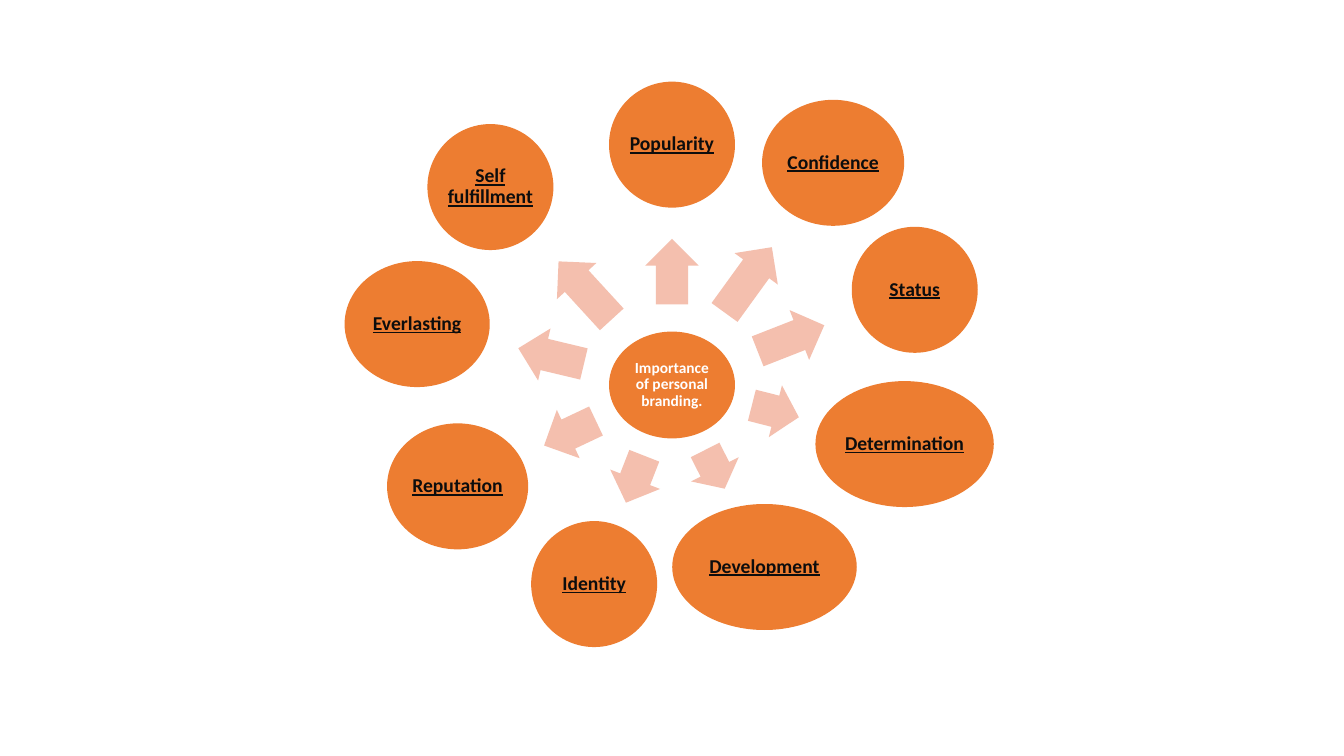
import math

from pptx import Presentation
from pptx.dml.color import RGBColor
from pptx.enum import shapes, text
from pptx.util import Pt

COLORS = {"oval": "ED7D31", "arrow": "F4BFAE", "hub_text": "FFFFFF", "label": "0D0D0D"}
FONT = "Calibri"

HUB = {"label": "Importance of personal branding.", "center": (480, 275), "size": (90, 76.3)}
OVAL_H = 90
ARROW_H = 38.2

# label, oval center x, y, oval width, arrow distance from hub, arrow length
BENEFITS = [
    ("Popularity", 480, 103.3, 90, 81, 46.8),
    ("Confidence", 595.1, 116.3, 101.5, 92.8, 57.6),
    ("Status", 653.4, 207, 90, 91.3, 51.1),
    ("Determination", 646.2, 317.2, 127.4, 76.2, 34.6),
    ("Development", 546.1, 405, 131.8, 67.6, 31),
    ("Identity", 424.4, 417.2, 90, 72.3, 36),
    ("Reputation", 326.9, 347.4, 100.8, 80.6, 41),
    ("Everlasting", 298, 231.5, 103.7, 88.8, 48.2),
    ("Self fulfillment", 350.3, 133.6, 90, 91.7, 56.2),
]


def add_centered(slide, kind, cx, cy, w, h, color):
    """Add a filled, borderless shape around the given center."""
    sp = slide.shapes.add_shape(kind, Pt(cx - w / 2), Pt(cy - h / 2), Pt(w), Pt(h))
    sp.shadow.inherit = False
    sp.fill.solid()
    sp.fill.fore_color.rgb = RGBColor.from_string(COLORS[color])
    sp.line.fill.background()
    return sp


def add_oval(slide, label, cx, cy, w, h, size, color, underline):
    sp = add_centered(slide, shapes.MSO_SHAPE.OVAL, cx, cy, w, h, "oval")
    tf = sp.text_frame
    tf.word_wrap = True
    tf.vertical_anchor = text.MSO_ANCHOR.MIDDLE
    tf.margin_left = tf.margin_right = tf.margin_top = tf.margin_bottom = Pt(1.2)
    p = tf.paragraphs[0]
    p.alignment = text.PP_ALIGN.CENTER
    p.line_spacing = 0.9
    r = p.add_run()
    r.text = label
    r.font.name = FONT
    r.font.size = Pt(size)
    r.font.bold = True
    r.font.underline = underline
    r.font.color.rgb = RGBColor.from_string(COLORS[color])


def add_arrow(slide, angle, distance, length):
    """Add an arrow on the ray that leaves the hub at the given angle."""
    hub_x, hub_y = HUB["center"]
    cx = hub_x + distance * math.cos(angle)
    cy = hub_y + distance * math.sin(angle)
    sp = add_centered(slide, shapes.MSO_SHAPE.RIGHT_ARROW, cx, cy, length, ARROW_H, "arrow")
    sp.adjustments[0] = 0.6
    sp.adjustments[1] = 0.5
    sp.rotation = math.degrees(angle) % 360


def main():
    prs = Presentation()
    prs.slide_width, prs.slide_height = Pt(960), Pt(540)
    slide = prs.slides.add_slide(prs.slide_layouts[6])

    hub_x, hub_y = HUB["center"]
    add_oval(slide, HUB["label"], hub_x, hub_y, *HUB["size"], 11, "hub_text", False)
    for label, x, y, w, distance, length in BENEFITS:
        add_arrow(slide, math.atan2(y - hub_y, x - hub_x), distance, length)
        add_oval(slide, label, x, y, w, OVAL_H, 14, "label", True)

    prs.save("out.pptx")


if __name__ == "__main__":
    main()
